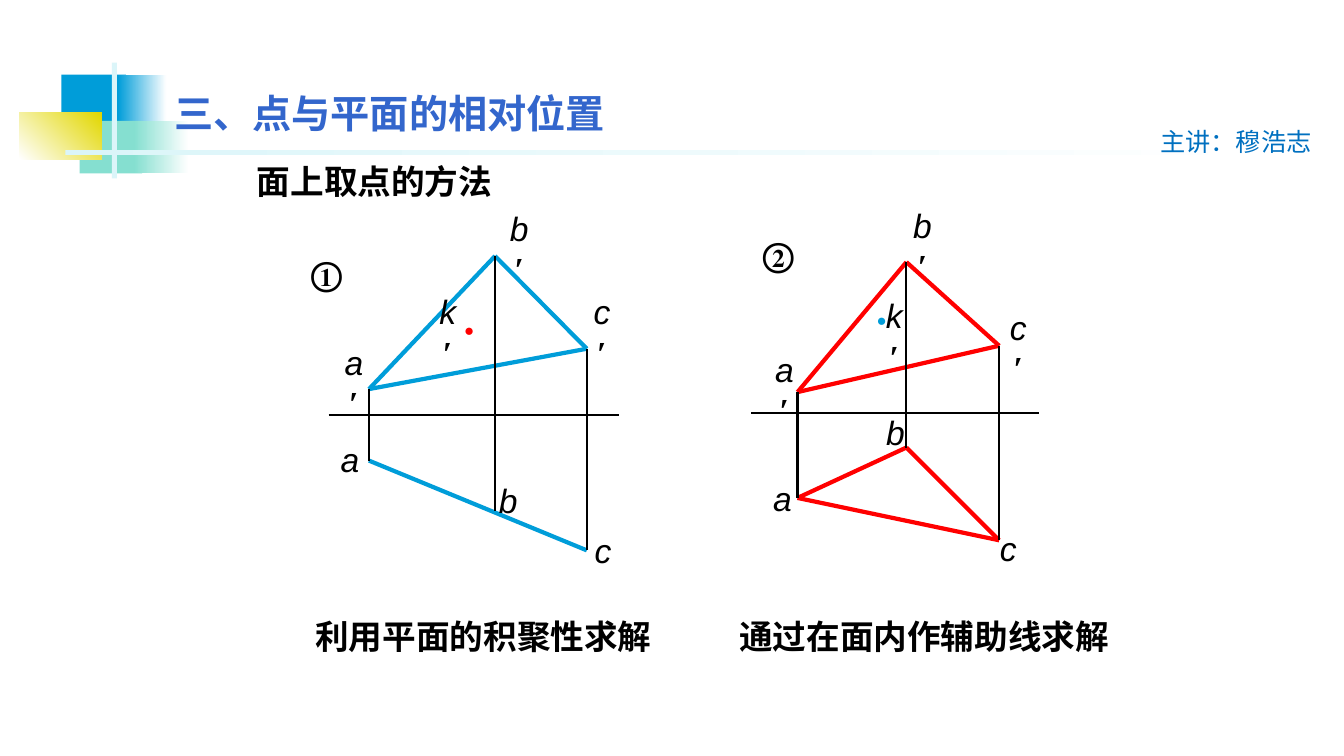
from lxml.etree import SubElement
from pptx import Presentation
from pptx.dml.color import RGBColor
from pptx.enum.shapes import MSO_CONNECTOR as CONN, MSO_SHAPE as SHAPE
from pptx.enum.text import MSO_ANCHOR as ANCHOR, PP_ALIGN as ALIGN
from pptx.oxml.ns import qn
from pptx.util import Inches, Pt

COLORS = {"blue": "009DD9", "mint": "85DFD0", "yellow": "E2D700", "pale": "DBF5F9",
          "white": "FFFFFF", "black": "000000", "red": "FF0000",
          "title": "3366CC", "lecturer": "0070C0"}
SANS, SERIF, CJK = "Arial", "Times New Roman", "Noto Sans CJK SC"


def rgb(name):
    return RGBColor.from_string(COLORS[name])


def add_run(p, text, size=24, font=SERIF, ea=None, color="black", bold=False, italic=False):
    r = p.add_run()
    r.text = text
    f = r.font
    f.size, f.name, f.bold, f.italic = Pt(size), font, bold, italic
    f.color.rgb = rgb(color)
    SubElement(r._r.get_or_add_rPr(), qn("a:ea")).set("typeface", ea or font)


class SlideBuilder:
    def __init__(self, prs):
        self.s = prs.slides.add_slide(prs.slide_layouts[6])
        self.shapes = self.s.shapes

    def start_group(self):
        self.shapes = self.s.shapes.add_group_shape().shapes

    def end_group(self):
        self.shapes = self.s.shapes

    def block(self, box, start, end=None, angle=0):
        sp = self.shapes.add_shape(SHAPE.RECTANGLE, *map(Inches, box))
        sp.shadow.inherit = False
        sp.line.fill.background()
        if end is None:
            sp.fill.solid()
            sp.fill.fore_color.rgb = rgb(start)
            return
        sp.fill.gradient()
        sp.fill.gradient_angle = angle
        for stop, name in zip(sp.fill.gradient_stops, (start, end)):
            stop.color.rgb = rgb(name)

    def text(self, box, text, align=ALIGN.CENTER, anchor=ANCHOR.MIDDLE, wrap=False, **fmt):
        tf = self.shapes.add_textbox(*map(Inches, box)).text_frame
        tf.word_wrap, tf.vertical_anchor = wrap, anchor
        p = tf.paragraphs[0]
        p.alignment = align
        add_run(p, text, **fmt)
        return p

    def label(self, name, x, y):
        """Point name in italics; a prime wraps below its letter."""
        primed = name.endswith("′")
        width = 0.45 if primed else 0.38
        p = self.text((x - width / 2, y - 0.25, width, 0.5), name[0],
                      wrap=primed, font=SANS, italic=True)
        if primed:
            add_run(p, "′", bold=True)

    def line(self, start, end, color="black", width=1.5):
        c = self.shapes.add_connector(CONN.STRAIGHT, *map(Inches, (*start, *end)))
        c.line.color.rgb = rgb(color)
        c.line.width = Pt(width)
        SubElement(c._element.spPr, qn("a:effectLst"))

    def projection(self, fig):
        """Two-view drawing of triangle abc with point k′ above the axis."""
        self.start_group()
        pts = fig["points"]
        x1, x2, y = fig["axis"]
        self.line((x1, y), (x2, y))
        for start, end in fig["edges"]:
            self.line(pts[start], pts[end], fig["color"], 3)
        for name in "abc":
            self.line(pts[name + "′"], pts[name])
        for name, (x, y) in fig["labels"].items():
            self.label(name, x, y)
        x, y = fig["dot"]
        self.text((x - 0.19, y - 0.15, 0.37, 0.3), "●", size=12,
                  color=fig["dot_color"], bold=True)
        x, y = fig["number_at"]
        self.text((x, y, 0.54, 0.5), fig["number"], bold=True)
        self.end_group()


FRONT_EDGES = [("a′", "c′"), ("a′", "b′"), ("b′", "c′")]
FIGURES = [
    {"number": "①", "number_at": (2.97, 2.46), "color": "blue",
     "axis": (3.26, 6.14, 4.12), "dot": (4.66, 3.27), "dot_color": "red",
     "points": {"a′": (3.66, 3.86), "b′": (4.91, 2.54), "c′": (5.82, 3.46),
                "a": (3.66, 4.57), "b": (4.91, 5.07), "c": (5.82, 5.46)},
     "edges": FRONT_EDGES + [("a", "c")],
     "labels": {"a′": (3.51, 3.79), "b′": (5.15, 2.46), "c′": (5.97, 3.29),
                "k′": (4.44, 3.29), "a": (3.47, 4.55), "b": (5.04, 4.96),
                "c": (5.98, 5.46)}},
    {"number": "②", "number_at": (7.45, 2.27), "color": "red",
     "axis": (7.45, 10.31, 4.1), "dot": (8.75, 3.17), "dot_color": "blue",
     "points": {"a′": (7.91, 3.89), "b′": (8.99, 2.6), "c′": (9.91, 3.43),
                "a": (7.91, 4.94), "b": (8.99, 4.44), "c": (9.91, 5.36)},
     "edges": FRONT_EDGES + [("a", "b"), ("b", "c"), ("c", "a")],
     "labels": {"a′": (7.78, 3.86), "b′": (9.15, 2.43), "c′": (10.1, 3.44),
                "k′": (8.87, 3.33), "a": (7.76, 4.94), "b": (8.88, 4.29),
                "c": (10, 5.44)}},
]


def main():
    prs = Presentation()
    prs.slide_width, prs.slide_height = Inches(13.33), Inches(7.5)
    b = SlideBuilder(prs)

    # Corner ornament and header rule
    b.block((0.61, 0.74, 0.64, 0.52), "blue")
    b.block((1.17, 0.74, 0.48, 0.52), "blue", "white")
    b.block((0.79, 1.2, 0.62, 0.52), "mint")
    b.block((1.33, 1.2, 0.54, 0.52), "mint", "white")
    b.block((0.19, 1.12, 0.82, 0.46), "white", "yellow", angle=45)
    b.block((1.11, 0.62, 0.05, 1.15), "pale")
    b.block((0.65, 1.49, 12, 0.05), "pale", "white")

    # Headings
    b.text((11.41, 1.2, 1.82, 0.4), "主讲：穆浩志", align=ALIGN.LEFT, anchor=ANCHOR.TOP,
           size=18, font=CJK, color="lecturer")
    b.text((1.63, 0.84, 4.54, 0.57), "三、点与平面的相对位置", align=ALIGN.LEFT,
           anchor=ANCHOR.TOP, size=28, ea=CJK, color="title", bold=True)
    b.text((2.45, 1.55, 2.57, 0.5), "面上取点的方法", align=ALIGN.LEFT,
           font=SANS, ea=CJK, bold=True)

    # Drawings
    for fig in FIGURES:
        b.projection(fig)

    # Captions
    b.text((3.01, 6.06, 3.57, 0.5), "利用平面的积聚性求解", ea=CJK, bold=True)
    b.text((7.21, 6.06, 3.91, 0.5), "通过在面内作辅助线求解", ea=CJK, bold=True)

    prs.save("out.pptx")


if __name__ == "__main__":
    main()
